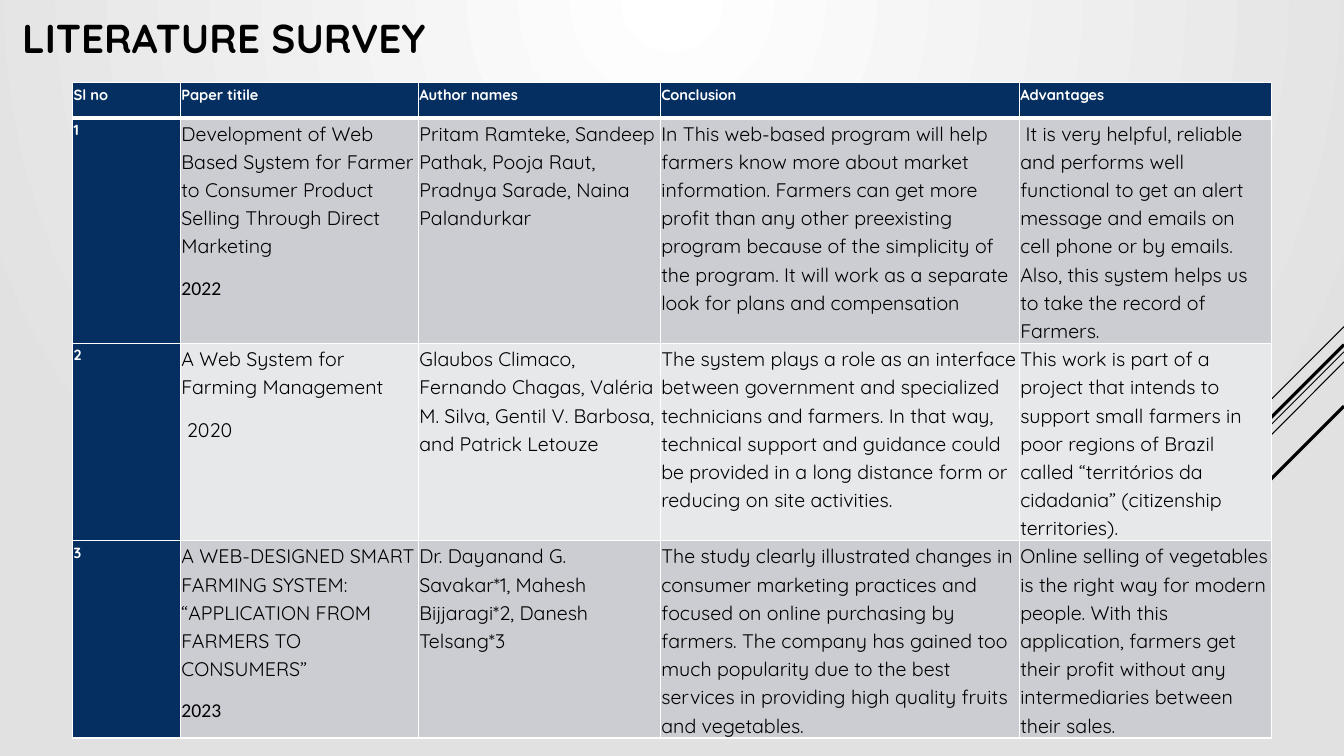
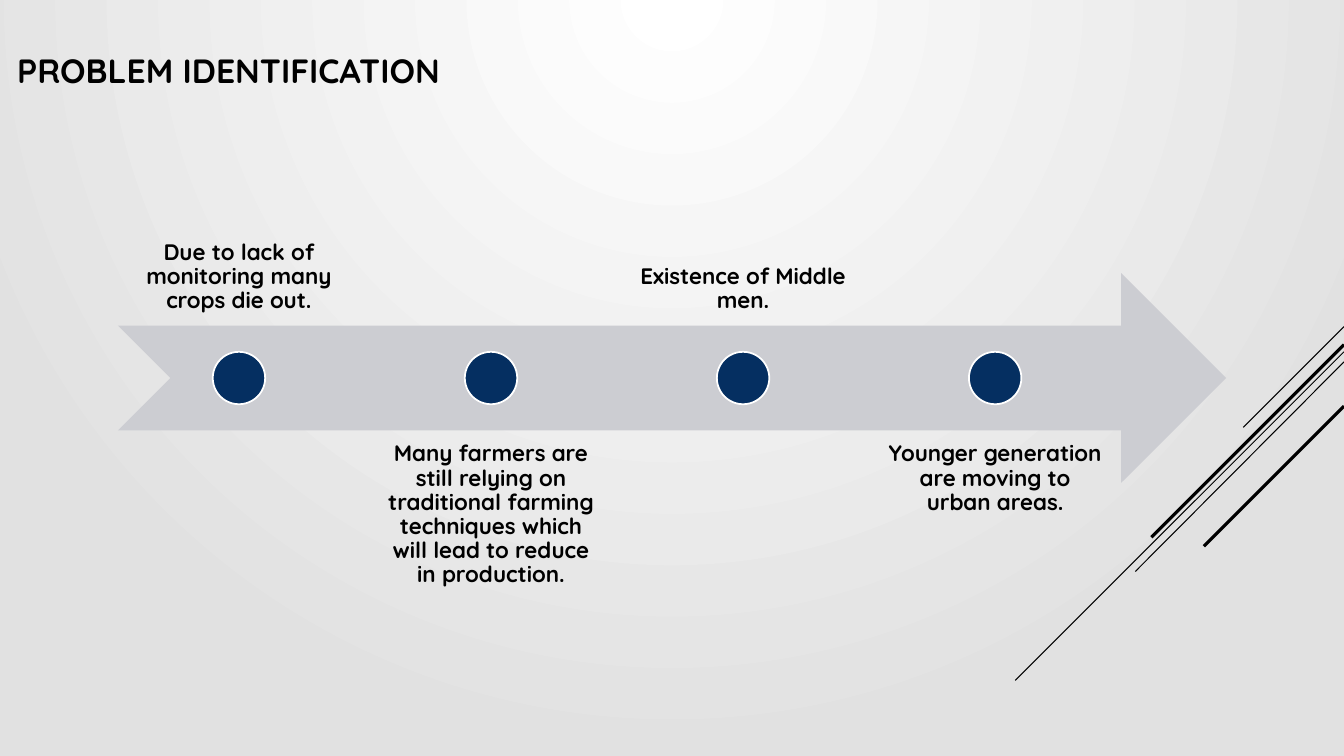
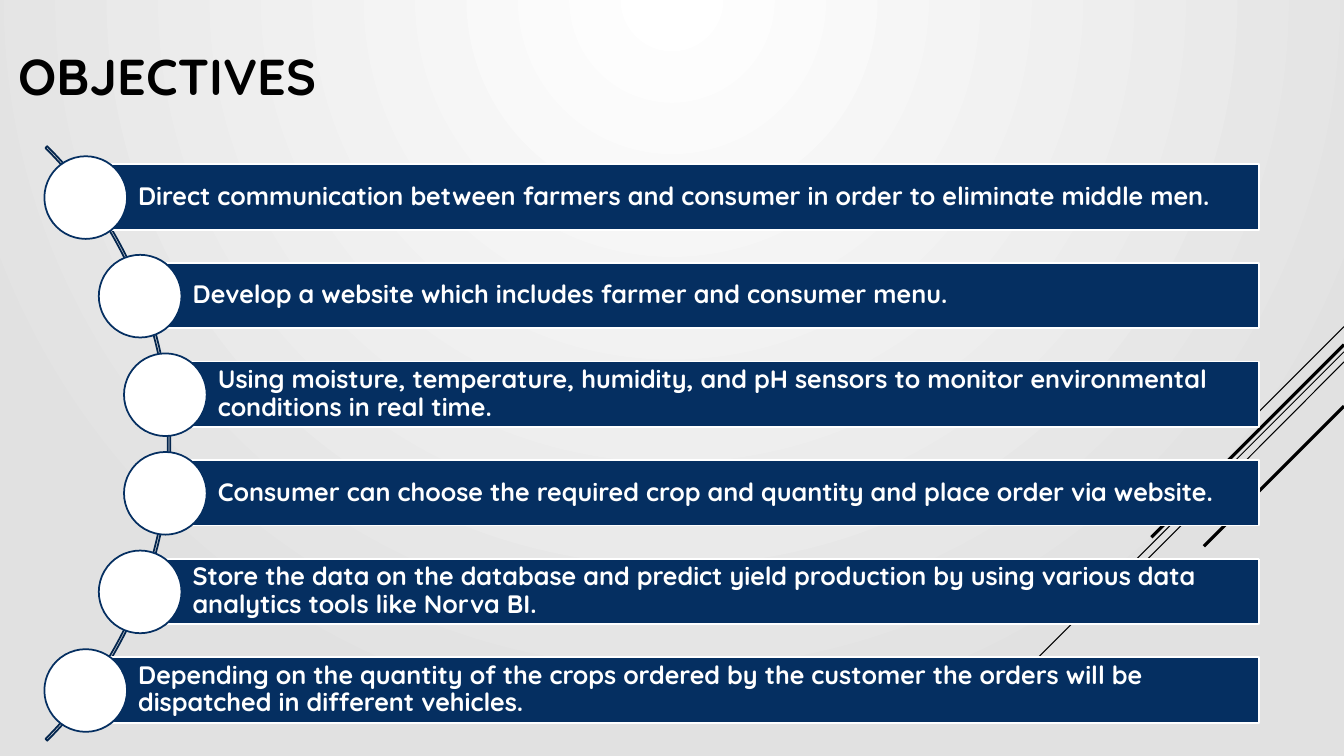
from lxml import etree
from pptx import Presentation
from pptx.dml.color import RGBColor
from pptx.enum.shapes import MSO_CONNECTOR, MSO_SHAPE as SHAPE
from pptx.enum.text import MSO_ANCHOR as ANCHOR, MSO_AUTO_SIZE, PP_ALIGN as ALIGN
from pptx.oxml.ns import qn
from pptx.util import Inches, Pt

BLACK = RGBColor(0x00, 0x00, 0x00)
WHITE = RGBColor(0xFF, 0xFF, 0xFF)
SILVER = RGBColor(0xE1, 0xE1, 0xE1)
NAVY = RGBColor(0x05, 0x2F, 0x61)
DARK_NAVY = RGBColor(0x04, 0x26, 0x4E)
GREY = RGBColor(0xCC, 0xCD, 0xD2)
LIGHT_GREY = RGBColor(0xE7, 0xE8, 0xEA)
FONT = "Quicksand"


def write(tf, text, size=16, color=BLACK, bold=True, font=FONT, align=ALIGN.LEFT,
          spacing=None, after=None, new=False):
    p = tf.add_paragraph() if new else tf.paragraphs[0]
    p.alignment, p.line_spacing = align, spacing
    if after is not None:
        p.space_after = Pt(after)
    r = p.add_run()
    r.text = text
    r.font.size, r.font.name, r.font.bold = Pt(size), font, bold
    r.font.color.rgb = color


def add_shape(s, kind, x, y, w, h, fill=None, line=None):
    sp = s.shapes.add_shape(kind, Inches(x), Inches(y), Inches(w), Inches(h))
    sp.shadow.inherit = False
    if fill is None:
        sp.fill.background()
    else:
        sp.fill.solid()
        sp.fill.fore_color.rgb = fill
    if line is None:
        sp.line.fill.background()
    else:
        sp.line.color.rgb = line
        sp.line.width = Pt(1.25)
    return sp


prs = Presentation()
prs.slide_width, prs.slide_height = Inches(13.33), Inches(7.5)
master = prs.slide_master

# Shared background: radial gradient from the top centre
fill = master.background.fill
fill.gradient()
for stop, color in zip(fill.gradient_stops, (WHITE, SILVER)):
    stop.color.rgb = color
grad = master.element.find(".//" + qn("a:gradFill"))
grad.remove(grad.find(qn("a:lin")))
radial = etree.SubElement(grad, qn("a:path"), path="circle")
etree.SubElement(radial, qn("a:fillToRect"), l="0", t="0", r="0", b="100000")

# Slides and titles
titles = [
    ("LITERATURE SURVEY", 28.8, (0.12, 0.22, 8.23, 0.31)),
    ("PROBLEM IDENTIFICATION", 24, (0.07, 0.08, 9.33, 1.23)),
    ("OBJECTIVES", 36, (0.08, 0.19, 12.06, 1.11)),
]
slides = []
for text, size, box in titles:
    s = prs.slides.add_slide(prs.slide_layouts[5])
    title = s.shapes.title
    title.left, title.top, title.width, title.height = map(Inches, box)
    tf = title.text_frame
    tf.auto_size, tf.vertical_anchor = MSO_AUTO_SIZE.NONE, ANCHOR.MIDDLE
    write(tf, text, size=size)
    slides.append(s)
survey, problems, objectives = slides

# Shared diagonal lines, moved to the master: start y, end x, end y, width
diagonals = [
    (3.24, 12.33, 4.24, 0.75),
    (3.49, 10.07, 6.75, 0.75),
    (3.59, 11.26, 5.67, 0.75),
    (3.42, 11.42, 5.33, 2.25),
    (4.03, 11.94, 5.42, 2.25),
]
for i, (y1, x2, y2, width) in enumerate(diagonals):
    line = survey.shapes.add_connector(
        MSO_CONNECTOR.STRAIGHT, Inches(13.33), Inches(y1), Inches(x2), Inches(y2))
    line.line.color.rgb = BLACK
    line.line.width = Pt(width)
    etree.SubElement(line.element.spPr, qn("a:effectLst"))
    line.element.nvCxnSpPr.cNvPr.set("id", str(20 + i))
    master.shapes.element.append(line.element)

# Literature survey: table
rows = [
    ["Sl no", "Paper titile", "Author names", "Conclusion", "Advantages"],
    ["1",
     "Development of Web Based System for Farmer to Consumer Product Selling Through "
     "Direct Marketing\n2022",
     "Pritam Ramteke, Sandeep Pathak, Pooja Raut, Pradnya Sarade, Naina Palandurkar",
     "In This web-based program will help farmers know more about market information. "
     "Farmers can get more profit than any other preexisting program because of the "
     "simplicity of the program. It will work as a separate look for plans and compensation",
     " It is very helpful, reliable and performs well functional to get an alert message "
     "and emails on cell phone or by emails. Also, this system helps us to take the record "
     "of Farmers."],
    ["2",
     "A Web System for Farming Management\n 2020",
     "Glaubos Climaco, Fernando Chagas, Valéria M. Silva, Gentil V. Barbosa, and Patrick "
     "Letouze",
     "The system plays a role as an interface between government and specialized "
     "technicians and farmers. In that way, technical support and guidance could be "
     "provided in a long distance form or reducing on site activities.",
     "This work is part of a project that intends to support small farmers in poor regions "
     "of Brazil called “territórios da cidadania” (citizenship territories)."],
    ["3",
     "A WEB-DESIGNED SMART FARMING SYSTEM: “APPLICATION FROM FARMERS TO CONSUMERS”\n2023",
     "Dr. Dayanand G. Savakar*1, Mahesh Bijjaragi*2, Danesh Telsang*3",
     "The study clearly illustrated changes in consumer marketing practices and focused on "
     "online purchasing by farmers. The company has gained too much popularity due to the "
     "best services in providing high quality fruits and vegetables.",
     "Online selling of vegetables is the right way for modern people. With this "
     "application, farmers get their profit without any intermediaries between their "
     "sales."],
]
frame = survey.shapes.add_table(4, 5, Inches(0.72), Inches(0.82), Inches(11.9), Inches(6.52))
table = frame.table
for col, width in zip(table.columns, (1.07, 2.36, 2.4, 3.56, 2.5)):
    col.width = Inches(width)
for row, height in zip(table.rows, (0.35, 1.7, 1.43, 1.86)):
    row.height = Inches(height)
frame.height = Inches(6.52)

for i, row in enumerate(rows):
    for j, text in enumerate(row):
        cell = table.cell(i, j)
        heading = i == 0 or j == 0
        cell.margin_left = cell.margin_right = Inches(0.01)
        cell.margin_top = cell.margin_bottom = 0
        cell.fill.solid()
        cell.fill.fore_color.rgb = NAVY if heading else GREY if i % 2 else LIGHT_GREY
        for k, part in enumerate(text.split("\n")):
            write(cell.text_frame, part, size=10.5 if heading else 14,
                  color=WHITE if heading else BLACK, bold=heading,
                  font="Calibri" if part in ("2022", "2023") else FONT,
                  spacing=1.15, after=10, new=k > 0)
        # White borders, thicker under the header row
        widths = {"lnL": 1, "lnR": 1, "lnT": 3 if i == 1 else 1, "lnB": 3 if i == 0 else 1}
        for k, (side, width) in enumerate(widths.items()):
            ln = etree.Element(qn("a:" + side), w=str(Pt(width)))
            solid = etree.SubElement(ln, qn("a:solidFill"))
            etree.SubElement(solid, qn("a:srgbClr"), val=str(WHITE))
            cell._tc.tcPr.insert(k, ln)

# Problem identification: arrow with labels alternately above and below
add_shape(problems, SHAPE.NOTCHED_RIGHT_ARROW, 1.17, 2.71, 10.99, 2.08, fill=GREY)
labels = [
    "Due to lack of monitoring many crops die out.",
    "Many farmers are still relying on traditional farming techniques which will lead to "
    "reduce in production.",
    "Existence of Middle men.",
    "Younger generation are moving to urban areas.",
]
for i, text in enumerate(labels):
    above = i % 2 == 0
    x = 1.18 + 2.5 * i
    box = problems.shapes.add_textbox(
        Inches(x), Inches(1.15 if above else 4.27), Inches(2.38), Inches(2.08))
    tf = box.text_frame
    tf.word_wrap = True
    tf.vertical_anchor = ANCHOR.BOTTOM if above else ANCHOR.TOP
    tf.margin_left = tf.margin_right = tf.margin_top = tf.margin_bottom = Inches(0.12)
    write(tf, text, align=ALIGN.CENTER, spacing=0.9)
    add_shape(problems, SHAPE.OVAL, x + 0.93, 3.49, 0.52, 0.52, fill=NAVY, line=WHITE)

# Objectives: bars and circles along an arc
arc = add_shape(objectives, SHAPE.BLOCK_ARC, -6.65, 0.23, 8.34, 8.34, line=DARK_NAVY)
for i, value in enumerate((189, 27, 0.003)):
    arc.adjustments[i] = value
goals = [
    (0.44, "Direct communication between farmers and consumer in order to eliminate middle "
           "men."),
    (0.98, "Develop a website which includes farmer and consumer menu."),
    (1.23, "Using moisture, temperature, humidity, and pH sensors to monitor environmental "
           "conditions in real time."),
    (1.23, "Consumer can choose the required crop and quantity and place order via website."),
    (0.98, "Store the data on the database and predict yield production by using various "
           "data analytics tools like Norva BI."),
    (0.44, "Depending on the quantity of the crops ordered by the customer the orders will "
           "be dispatched in different vehicles."),
]
pitch = (6.44 - 1.55) / (len(goals) - 1)
for i, (x, text) in enumerate(goals):
    y = 1.55 + pitch * i
    left = x + 0.41
    bar = add_shape(objectives, SHAPE.RECTANGLE, left, y + 0.08, 12.49 - left, 0.65,
                    fill=NAVY, line=WHITE)
    tf = bar.text_frame
    tf.word_wrap = True
    tf.vertical_anchor = ANCHOR.MIDDLE
    tf.margin_left = Inches(0.52)
    tf.margin_right = tf.margin_top = tf.margin_bottom = Inches(0.05)
    write(tf, text, size=18, color=WHITE, spacing=0.9)
    add_shape(objectives, SHAPE.OVAL, x, y, 0.82, 0.82, fill=WHITE, line=NAVY)

prs.save("out.pptx")
